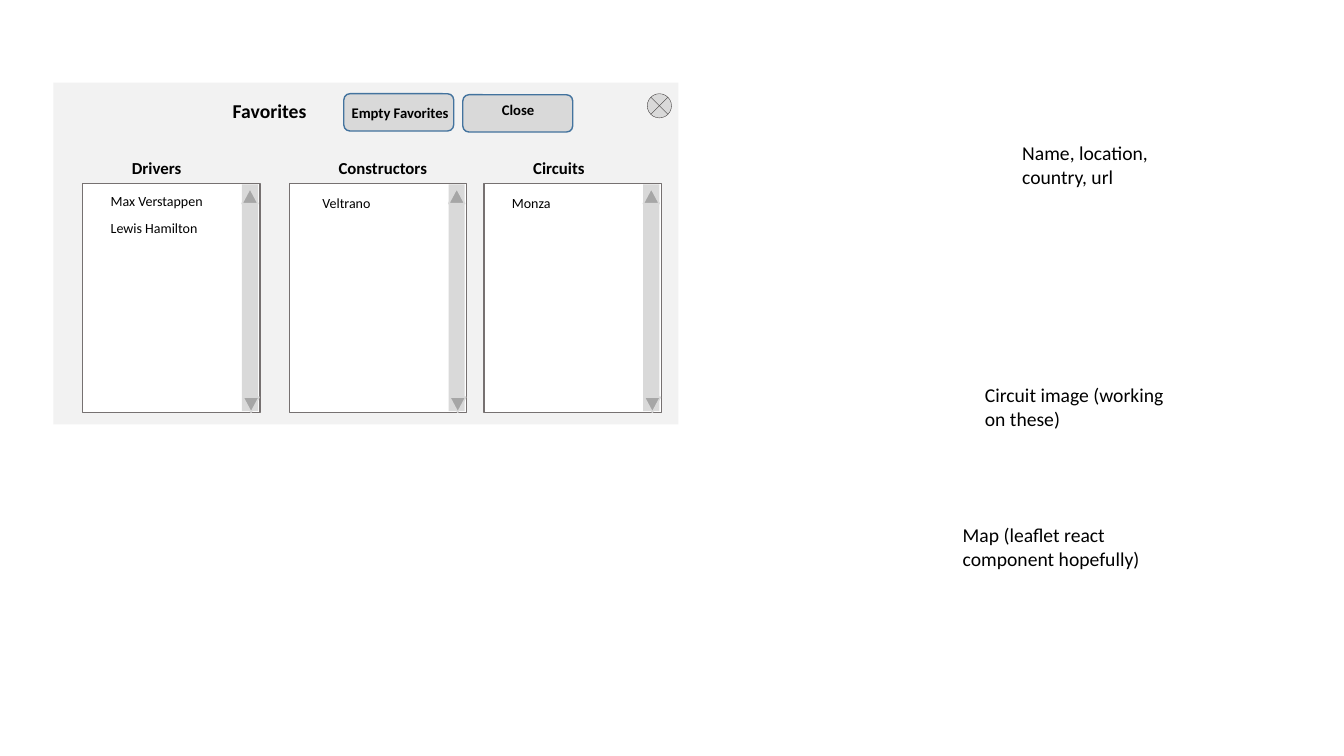
from pptx import Presentation
from pptx.dml.color import RGBColor
from pptx.enum.shapes import MSO_SHAPE as Kind
from pptx.enum.text import MSO_AUTO_SIZE as Fit
from pptx.util import Inches, Pt

LISTS = [
    (0.29, "Drivers", 1.89, 0.18, 0.04, ["Max Verstappen", "Lewis Hamilton"]),
    (2.34, "Constructors", 1.89, 0.23, 0.06, ["Veltrano"]),
    (4.27, "Circuits", 1.37, 0.18, 0.06, ["Monza"]),
]
NOTES = [
    ("Name, location, country, url", 10.04, 1.35, 1.75),
    ("Map (leaflet react component hopefully)", 9.45, 5.14, 2.13),
    ("Circuit image (working on these)", 9.67, 3.75, 2.13),
]


def color(code):
    return RGBColor.from_string(code)


def shape(parts, kind, box, fill, line=None, width=1, turn=0):
    item = parts.add_shape(kind, *map(Inches, box))
    item.shadow.inherit = False
    item.rotation = turn
    item.fill.solid()
    item.fill.fore_color.rgb = color(fill)
    if line:
        item.line.color.rgb = color(line)
        item.line.width = Pt(width)
    else:
        item.line.fill.background()
    return item


def label(parts, text, box, size, bold=False, wrap=True):
    frame = parts.add_textbox(*map(Inches, box)).text_frame
    frame.word_wrap = wrap
    frame.auto_size = Fit.SHAPE_TO_FIT_TEXT
    run = frame.paragraphs[0].add_run()
    run.text = text
    style = {"name": "Calibri", "size": Pt(size), "bold": bold}
    for key, value in style.items():
        setattr(run.font, key, value)
    run.font.color.rgb = color("000000")


def button(parts, text, x, y, inset, drop, width):
    shape(parts, Kind.ROUNDED_RECTANGLE, (x, y, 1.09, 0.37), "D9D9D9", "43739E")
    label(parts, text, (x + inset, y + drop, width, 0.29), 10.5, True, False)


def scroll(parts, x, y, height):
    shape(parts, Kind.RECTANGLE, (x, y, 0.16, height), "D9D9D9")
    for dx, dy, turn in [(0.01, height - 0.14, 180), (0, 0.04, 0)]:
        box = (x + dx, y + dy, 0.16, 0.15)
        shape(parts, Kind.ISOSCELES_TRIANGLE, box, "A6A6A6", "D9D9D9", turn=turn)


def column(parts, x, y, title, span, inset, drop, names):
    width, height = 1.76, 2.27
    shape(parts, Kind.RECTANGLE, (x, y, width, height), "FFFFFF", "767171")
    label(parts, title, (x + 0.39, y - 0.3, span, 0.3), 12, True)
    for row, name in enumerate(names):
        label(parts, name, (x + inset, y + drop + row * 0.27, 1.4, 0.27), 10)
    scroll(parts, x + width - 0.18, y + 0.01, height - 0.02)


def panel(slide, x, y, width, height):
    parts = slide.shapes.add_group_shape().shapes
    shape(parts, Kind.RECTANGLE, (x, y, width, height), "F2F2F2")
    label(parts, "Favorites", (x + 1.68, y + 0.11, 1.75, 0.34), 14, True)
    button(parts, "Close", x + 4.06, y + 0.12, 0.29, 0.01, 0.54)
    button(parts, "Empty Favorites", x + 2.88, y + 0.11, -0.02, 0.05, 1.24)
    for dx, *rest in LISTS:
        column(parts, x + dx, y + 1, *rest)
    cross = (x + width - 0.31, y + 0.11, 0.24, 0.24)
    shape(parts, Kind.FLOWCHART_SUMMING_JUNCTION, cross, "D9D9D9", "3B3838", 0.25)


def notes(slide):
    for text, x, y, width in NOTES:
        label(slide.shapes, text, (x, y, width, 0.57), 14)


def main():
    deck = Presentation()
    deck.slide_width, deck.slide_height = Inches(13.33), Inches(7.5)
    slide = deck.slides.add_slide(deck.slide_layouts[6])
    notes(slide)
    panel(slide, 0.53, 0.82, 6.2, 3.39)
    deck.save("out.pptx")


if __name__ == "__main__":
    main()
